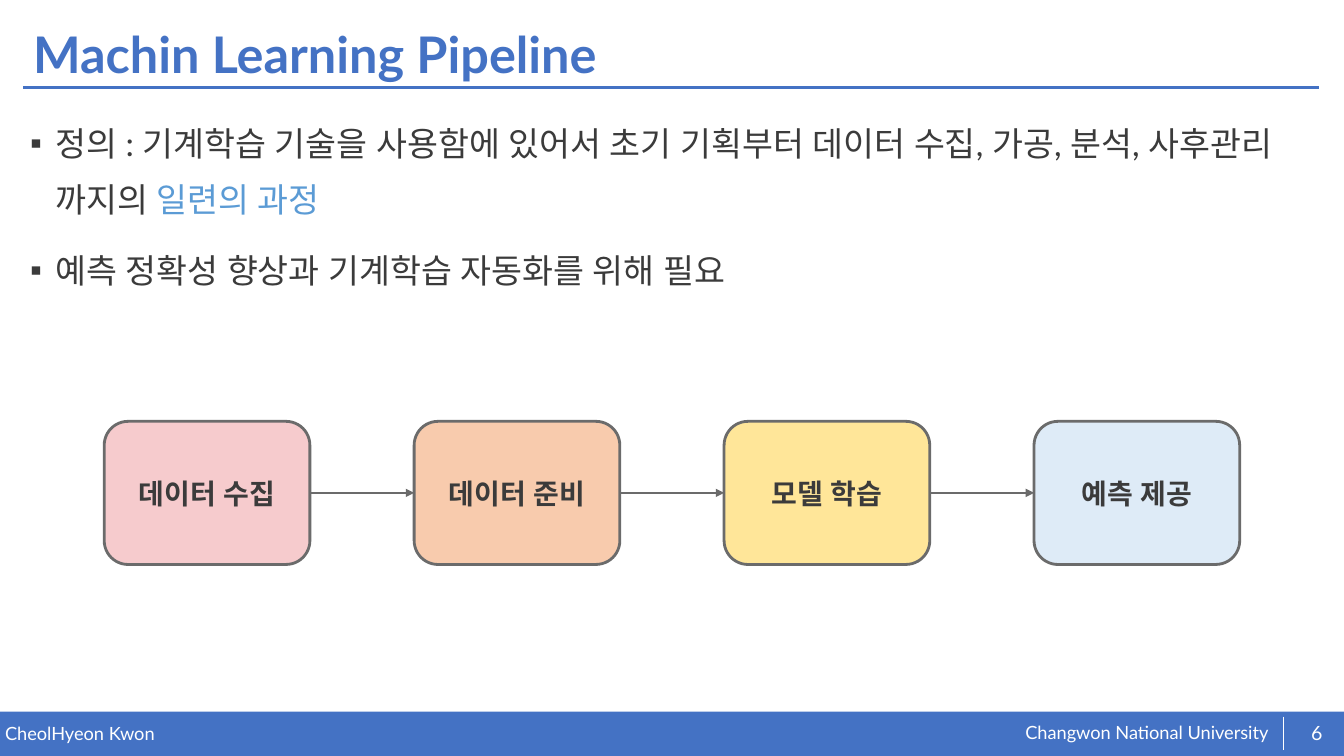
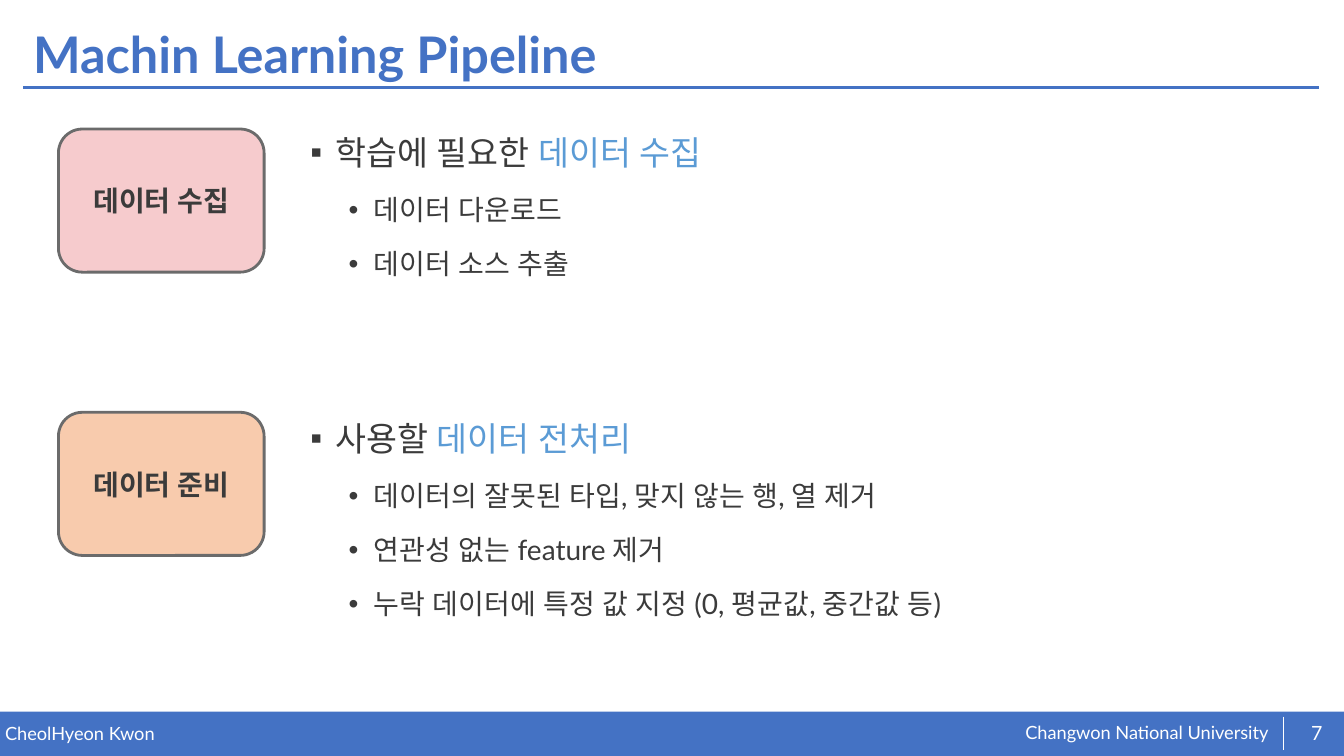
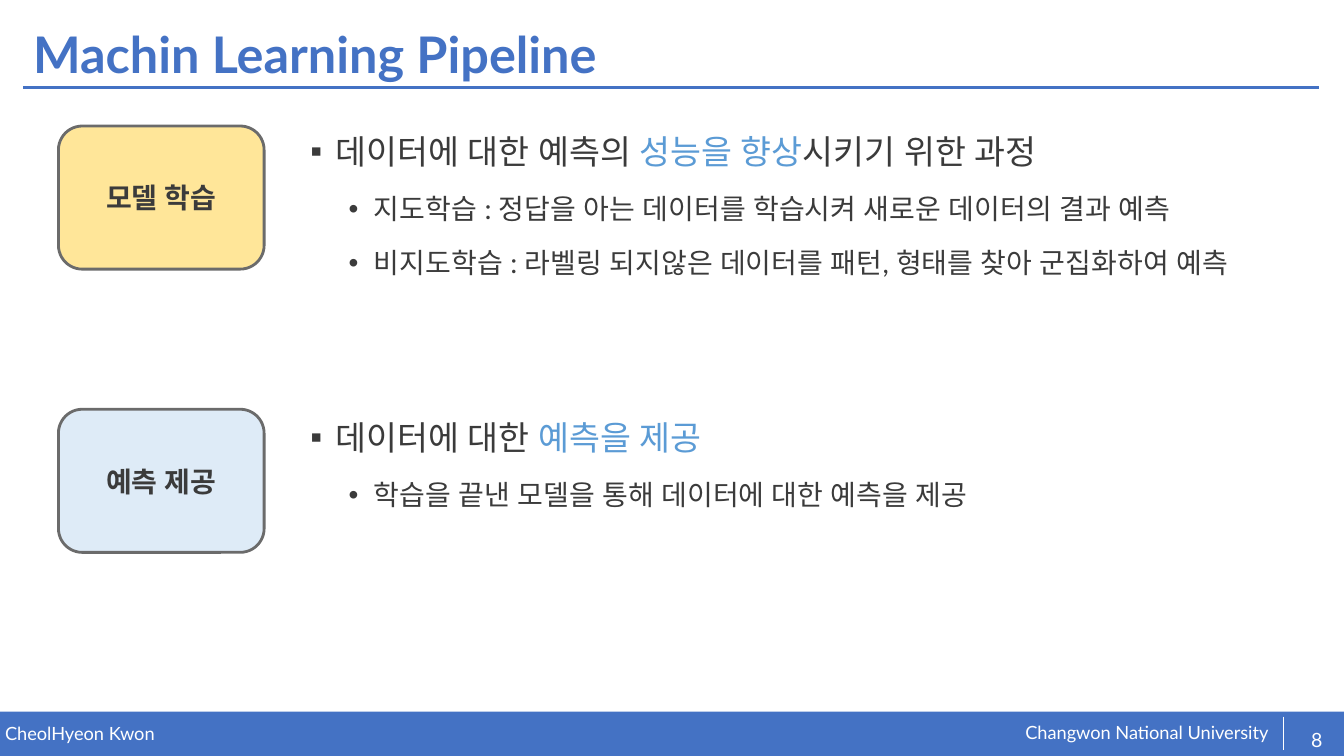
import pptx
import pptx.util
import pptx.dml.color
import pptx.enum.shapes
import pptx.enum.text
import pptx.oxml
import pptx.oxml.ns
import lxml.etree

Inches, Pt = pptx.util.Inches, pptx.util.Pt
SHAPE = pptx.enum.shapes.MSO_SHAPE
ALIGN = pptx.enum.text.PP_ALIGN
ANCHOR = pptx.enum.text.MSO_ANCHOR
qn = pptx.oxml.ns.qn

WIDTH, HEIGHT = 13.33, 7.5
FONT = "Lato"
COLORS = {"blue": "4472C4", "accent": "5B9BD5", "text": "3B3B3B",
          "border": "6B6B6B", "white": "FFFFFF"}
TITLE = "Machin Learning Pipeline"
AUTHOR = "CheolHyeon Kwon"
SCHOOL = "Changwon National University"

# Pipeline stages: label and card colour
STAGES = {
    "collect": ("데이터 수집", "F6CBCD"),
    "prepare": ("데이터 준비", "F8CBAD"),
    "train": ("모델 학습", "FFE699"),
    "serve": ("예측 제공", "DEEBF7"),
}
# Bullets are (level, text); text between asterisks takes the accent colour
OVERVIEW = [
    (0, "정의 : 기계학습 기술을 사용함에 있어서 초기 기획부터 데이터 수집, 가공, 분석, "
        "사후관리 까지의 *일련의 과정*"),
    (0, "예측 정확성 향상과 기계학습 자동화를 위해 필요"),
]
DETAILS = [
    {"number": 7, "number_top": 7.07, "card_top": 1.28, "text_top": 1.1, "stages": {
        "collect": [
            (0, "학습에 필요한 *데이터 수집*"),
            (1, "데이터 다운로드"),
            (1, "데이터 소스 추출")],
        "prepare": [
            (0, "사용할 *데이터 전처리*"),
            (1, "데이터의 잘못된 타입, 맞지 않는 행, 열 제거"),
            (1, "연관성 없는 feature 제거"),
            (1, "누락 데이터에 특정 값 지정 (0, 평균값, 중간값 등)")]}},
    {"number": 8, "number_top": 7.14, "card_top": 1.25, "text_top": 1.09, "stages": {
        "train": [
            (0, "데이터에 대한 예측의 *성능을 향상*시키기 위한 과정"),
            (1, "지도학습 : 정답을 아는 데이터를 학습시켜 새로운 데이터의 결과 예측"),
            (1, "비지도학습 : 라벨링 되지않은 데이터를 패턴, 형태를 찾아 군집화하여 예측")],
        "serve": [
            (0, "데이터에 대한 *예측을 제공*"),
            (1, "학습을 끝낸 모델을 통해 데이터에 대한 예측을 제공")]}},
]
LEVELS = [
    {"bullet": "▪", "indent": 0.25, "size": 24, "before": 10},
    {"bullet": "•", "indent": 0.63, "size": 20, "before": 5},
]
HANGING = 0.25
CARD_W, CARD_H = 2.04, 1.42
CARD_GAP = (WIDTH - len(STAGES) * CARD_W) / (len(STAGES) + 1)
FLOW_TOP = 4.18
CARD_PITCH, TEXT_PITCH = 2.81, 2.84
FOOTER_H = 0.44


def rgb(color):
    return pptx.dml.color.RGBColor.from_string(COLORS.get(color, color))


def add_run(paragraph, text, size, color, bold=False):
    run = paragraph.add_run()
    run.text = text
    formats = {"name": FONT, "size": Pt(size), "bold": bold}
    for attribute, value in formats.items():
        setattr(run.font, attribute, value)
    run.font.color.rgb = rgb(color)
    east_asian = pptx.oxml.parse_xml(
        f'<a:ea {pptx.oxml.ns.nsdecls("a")} typeface="{FONT}"/>')
    run.font._element.find(qn("a:latin")).addnext(east_asian)


def add_frame(slide, box, inset=True, anchor=ANCHOR.TOP):
    frame = slide.shapes.add_textbox(*map(Inches, box)).text_frame
    formats = {"word_wrap": True, "vertical_anchor": anchor}
    if not inset:
        formats.update({f"margin_{side}": 0 for side in ("left", "top", "right", "bottom")})
    for attribute, value in formats.items():
        setattr(frame, attribute, value)
    return frame


def add_line(slide, start, end, color, width):
    line = slide.shapes.add_connector(
        pptx.enum.shapes.MSO_CONNECTOR.STRAIGHT, *map(Inches, (*start, *end)))
    line.line.color.rgb = rgb(color)
    line.line.width = Pt(width)
    lxml.etree.SubElement(line._element.spPr, qn("a:effectLst"))
    return line


def add_block(slide, preset, box, fill, border=None):
    block = slide.shapes.add_shape(preset, *map(Inches, box))
    block.shadow.inherit = False
    block.fill.solid()
    block.fill.fore_color.rgb = rgb(fill)
    if border:
        block.line.color.rgb = rgb(border)
        block.line.width = Pt(2)
    else:
        block.line.fill.background()
    return block


def add_card(slide, stage, left, top):
    label, fill = STAGES[stage]
    card = add_block(slide, SHAPE.ROUNDED_RECTANGLE, (left, top, CARD_W, CARD_H),
                     fill, "border")
    card.text_frame.vertical_anchor = ANCHOR.MIDDLE
    paragraph = card.text_frame.paragraphs[0]
    paragraph.alignment = ALIGN.CENTER
    add_run(paragraph, label, 20, "text", bold=True)
    return card


def add_bullets(slide, box, bullets):
    frame = add_frame(slide, box)
    for index, (level, text) in enumerate(bullets):
        style = LEVELS[level]
        paragraph = frame.add_paragraph() if index else frame.paragraphs[0]
        paragraph.level = level
        paragraph.line_spacing = 1.4
        if index:
            paragraph.space_before = Pt(style["before"])
        properties = paragraph._p.get_or_add_pPr()
        properties.set("marL", str(Inches(style["indent"])))
        properties.set("indent", str(-Inches(HANGING)))
        for tag, key, value in (("a:buFont", "typeface", "Arial"),
                                ("a:buChar", "char", style["bullet"])):
            lxml.etree.SubElement(properties, qn(tag)).set(key, value)
        for part, words in enumerate(text.split("*")):
            if words:
                add_run(paragraph, words, style["size"], "accent" if part % 2 else "text")


def add_slide(deck, number, number_top=7.07):
    """Add a slide with the shared title, rule and footer band."""
    slide = deck.slides.add_slide(deck.slide_layouts[6])
    footer_top = HEIGHT - FOOTER_H
    add_block(slide, SHAPE.RECTANGLE, (0, footer_top, WIDTH, FOOTER_H), "blue")
    for text, box in ((SCHOOL, (10.17, 7.16, 2.5, 0.23)), (AUTHOR, (0.05, 7.17, 6.55, 0.3))):
        add_run(add_frame(slide, box, inset=False).paragraphs[0], text, 13, "white")
    add_line(slide, (0.23, 0.87), (13.08, 0.87), "blue", 2)
    add_line(slide, (12.73, footer_top + 0.05), (12.73, HEIGHT - 0.06), "white", 0.5)

    title = add_frame(slide, (0.23, 0.18, 12.86, 0.77), anchor=ANCHOR.MIDDLE).paragraphs[0]
    title.line_spacing = 0.9
    add_run(title, TITLE, 36, "blue", bold=True)

    page = add_frame(slide, (12.82, number_top, 0.48, 0.4), inset=False,
                     anchor=ANCHOR.MIDDLE).paragraphs[0]
    page.alignment = ALIGN.CENTER
    add_run(page, str(number), 14, "white")
    return slide


def add_overview(deck):
    slide = add_slide(deck, 6)
    add_bullets(slide, (0.2, 1.01, 12.86, 2.2), OVERVIEW)
    cards = [add_card(slide, stage, CARD_GAP + column * (CARD_W + CARD_GAP), FLOW_TOP)
             for column, stage in enumerate(STAGES)]
    for source, target in zip(cards, cards[1:]):
        arrow = add_line(slide, (0, 0), (1, 1), "border", 1.5)
        arrow.begin_connect(source, 3)
        arrow.end_connect(target, 1)
        lxml.etree.SubElement(arrow.line._get_or_add_ln(), qn("a:tailEnd")).set(
            "type", "triangle")


def add_detail(deck, detail):
    slide = add_slide(deck, detail["number"], detail["number_top"])
    for row, (stage, bullets) in enumerate(detail["stages"].items()):
        add_card(slide, stage, 0.58, detail["card_top"] + row * CARD_PITCH)
        add_bullets(slide, (2.98, detail["text_top"] + row * TEXT_PITCH, 10.1, 2.5), bullets)


def main():
    deck = pptx.Presentation()
    deck.slide_width, deck.slide_height = Inches(WIDTH), Inches(HEIGHT)
    add_overview(deck)
    for detail in DETAILS:
        add_detail(deck, detail)
    deck.save("out.pptx")


if __name__ == "__main__":
    main()
